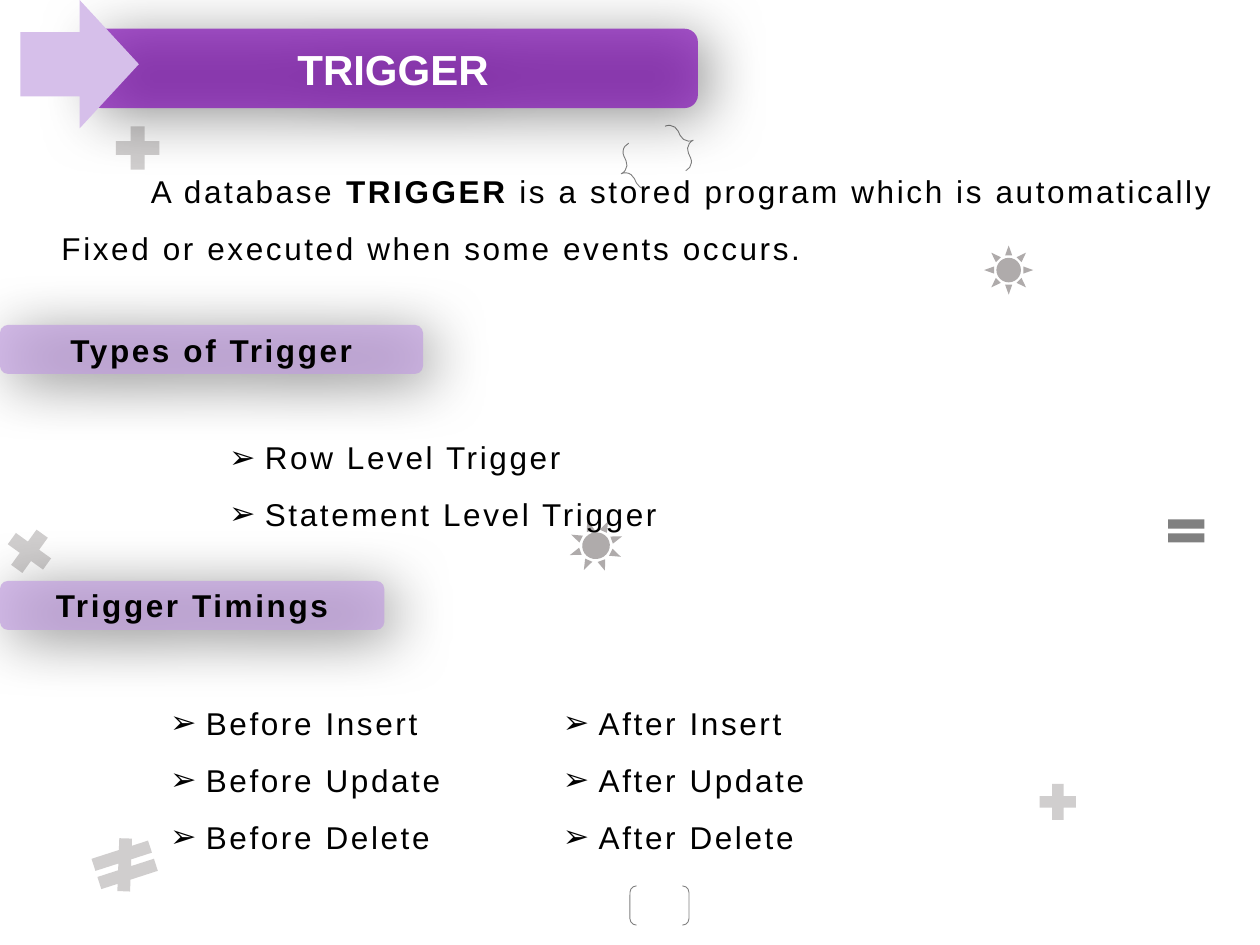
from lxml.etree import SubElement
from pptx import Presentation
from pptx.dml.color import RGBColor
from pptx.enum.shapes import MSO_SHAPE
from pptx.enum.text import MSO_ANCHOR, MSO_AUTO_SIZE, PP_ALIGN
from pptx.oxml.ns import qn
from pptx.util import Cm, Pt

COLORS = {
    "title": "800CB4",
    "heading": "C19EDF",
    "arrow": "D6BFEA",
    "sun": "AFABAB",
    "sign": "D0CECE",
    "gray": "808080",
    "white": "FFFFFF",
    "black": "000000",
}
BODY = {"name": "Arial", "size": Pt(18), "bold": False}
HEADING = {**BODY, "bold": True}
TITLE = {**HEADING, "size": Pt(24)}


def rgb(name):
    return RGBColor.from_string(COLORS[name])


def add_run(p, text, font, color="black", spacing=150):
    r = p.add_run()
    r.text = text
    for key, value in font.items():
        setattr(r.font, key, value)
    r.font.color.rgb = rgb(color)
    if spacing:
        r.font._element.set("spc", str(spacing))


def add_filled(s, kind, box, color, rotation=0):
    sp = s.shapes.add_shape(kind, *map(Cm, box))
    sp.shadow.inherit = False
    sp.fill.solid()
    sp.fill.fore_color.rgb = rgb(color)
    sp.line.fill.background()
    sp.rotation = rotation
    return sp


def add_outline(s, kind, box, rotation=0):
    sp = s.shapes.add_shape(kind, *map(Cm, box))
    sp.shadow.inherit = False
    sp.fill.background()
    sp.line.color.rgb = rgb("gray")
    sp.line.width = Pt(0.5)
    sp.rotation = rotation
    return sp


def add_alpha(color, percent):
    SubElement(color, qn("a:alpha"), val=str(percent * 1000))


def add_banner(s, box, fill, text, font, color="black", spacing=150):
    sp = add_filled(s, MSO_SHAPE.ROUNDED_RECTANGLE, box, fill)
    spPr = sp._element.spPr
    add_alpha(spPr.find(f"{qn('a:solidFill')}/{qn('a:srgbClr')}"), 69)
    shadow = SubElement(spPr.find(qn("a:effectLst")), qn("a:outerShdw"),
                        blurRad=str(Pt(35)), dist=str(Pt(7)),
                        dir=str(40 * 60000), algn="tl", rotWithShape="0")
    add_alpha(SubElement(shadow, qn("a:srgbClr"), val=COLORS["black"]), 62)
    tf = sp.text_frame
    tf.vertical_anchor = MSO_ANCHOR.MIDDLE
    p = tf.paragraphs[0]
    p.alignment = PP_ALIGN.CENTER
    add_run(p, text, font, color, spacing)


def set_indent(p, margin, indent):
    pPr = p._p.get_or_add_pPr()
    pPr.set("marL", str(Cm(margin)))
    pPr.set("indent", str(Cm(indent)))
    return pPr


def add_text(s, box, lines):
    tf = s.shapes.add_textbox(*map(Cm, box)).text_frame
    tf.word_wrap = True
    tf.auto_size = MSO_AUTO_SIZE.SHAPE_TO_FIT_TEXT
    for i, runs in enumerate(lines):
        p = tf.add_paragraph() if i else tf.paragraphs[0]
        p.line_spacing = 1.5
        for text, font in runs:
            add_run(p, text, font)
    return tf


def add_bullets(s, box, items):
    tf = add_text(s, box, [[(item, BODY)] for item in items])
    for p in tf.paragraphs:
        pPr = set_indent(p, 0.72, -0.72)
        SubElement(pPr, qn("a:buFont"), typeface="Arial")
        SubElement(pPr, qn("a:buChar"), char="➢")


def add_decorations(s):
    add_filled(s, MSO_SHAPE.SUN, (19.84, 4.95, 0.99, 0.99), "sun")
    add_filled(s, MSO_SHAPE.SUN, (11.48, 10.44, 1.07, 1.12), "sun", 250.3)
    add_filled(s, MSO_SHAPE.MATH_PLUS, (2.18, 2.39, 1.19, 1.19), "sign")
    add_filled(s, MSO_SHAPE.MATH_PLUS, (20.83, 15.67, 0.99, 0.99), "sign")
    add_filled(s, MSO_SHAPE.MATH_EQUAL, (23.42, 10.31, 0.99, 0.79), "gray")
    add_filled(s, MSO_SHAPE.MATH_NOT_EQUAL, (1.7, 16.89, 1.63, 1.09), "sign", 342.1)
    braces = add_outline(s, MSO_SHAPE.DOUBLE_BRACE, (12.45, 2.67, 1.6, 0.99), 335)
    braces.adjustments[0] = 0.2
    add_outline(s, MSO_SHAPE.DOUBLE_BRACKET, (12.7, 17.86, 1.19, 0.79))
    add_filled(s, MSO_SHAPE.MATH_PLUS, (0, 10.52, 1.19, 1.19), "sign", 35.8)


def main():
    prs = Presentation()
    prs.slide_width, prs.slide_height = Cm(25.4), Cm(19.05)
    s = prs.slides.add_slide(prs.slide_layouts[6])
    add_decorations(s)

    add_banner(s, (1.78, 0.58, 12.29, 1.6), "title", "TRIGGER", TITLE, "white", 0)
    add_filled(s, MSO_SHAPE.RIGHT_ARROW, (0.41, 0, 2.39, 2.59), "arrow")
    add_banner(s, (0, 6.55, 8.53, 0.99), "heading", "Types of Trigger", HEADING)

    tf = add_text(s, (0.99, 2.97, 23.98, 2.57), [
        [("A database ", BODY), ("TRIGGER", HEADING),
         (" is a stored program which is automatically", BODY)],
        [("Fixed or executed when some events occurs.", BODY)],
    ])
    set_indent(tf.paragraphs[0], 0, 1.8)

    add_bullets(s, (4.37, 8.33, 9.3, 2.57),
                ["Row Level Trigger", "Statement Level Trigger"])
    add_banner(s, (0, 11.71, 7.75, 0.99), "heading", "Trigger Timings", HEADING)
    for left, width, timing in ((3.18, 6.07, "Before"), (11.1, 5.46, "After")):
        add_bullets(s, (left, 13.69, width, 3.71),
                    [f"{timing} {event}" for event in ("Insert", "Update", "Delete")])

    prs.save("out.pptx")


if __name__ == "__main__":
    main()
